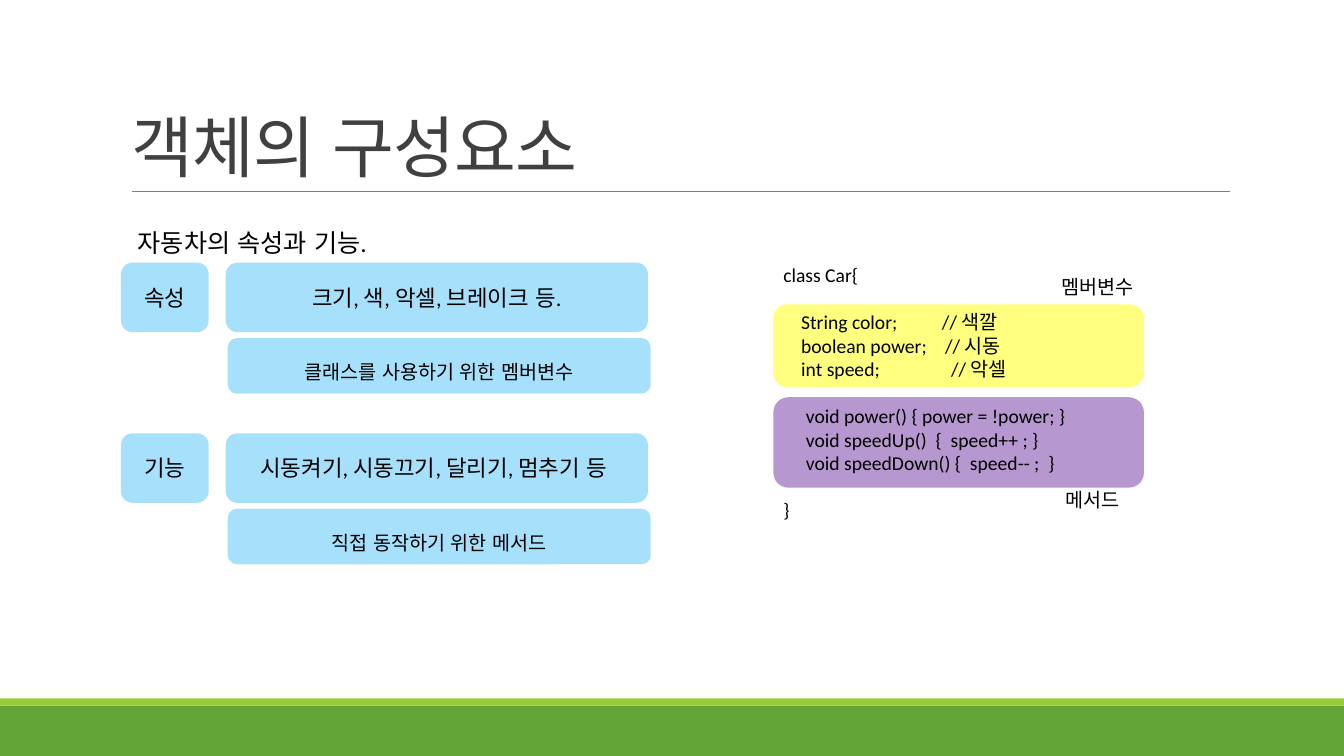
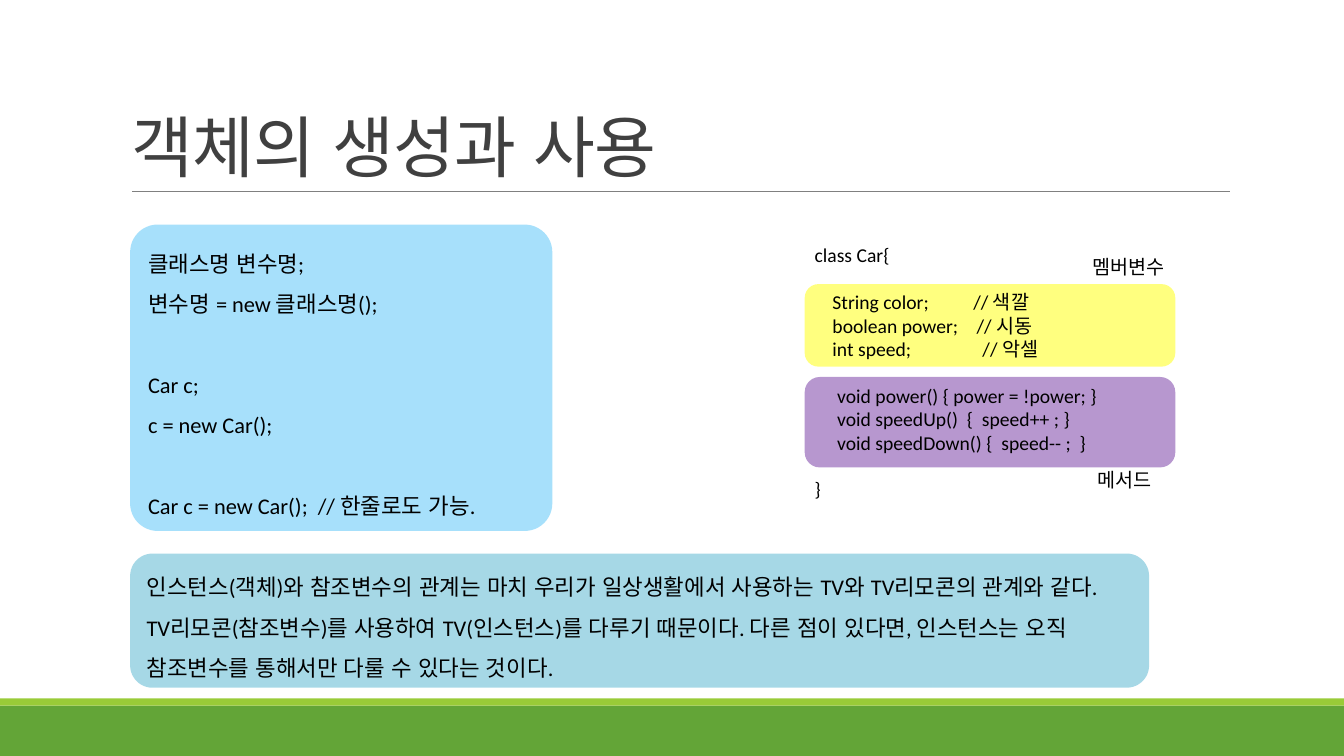
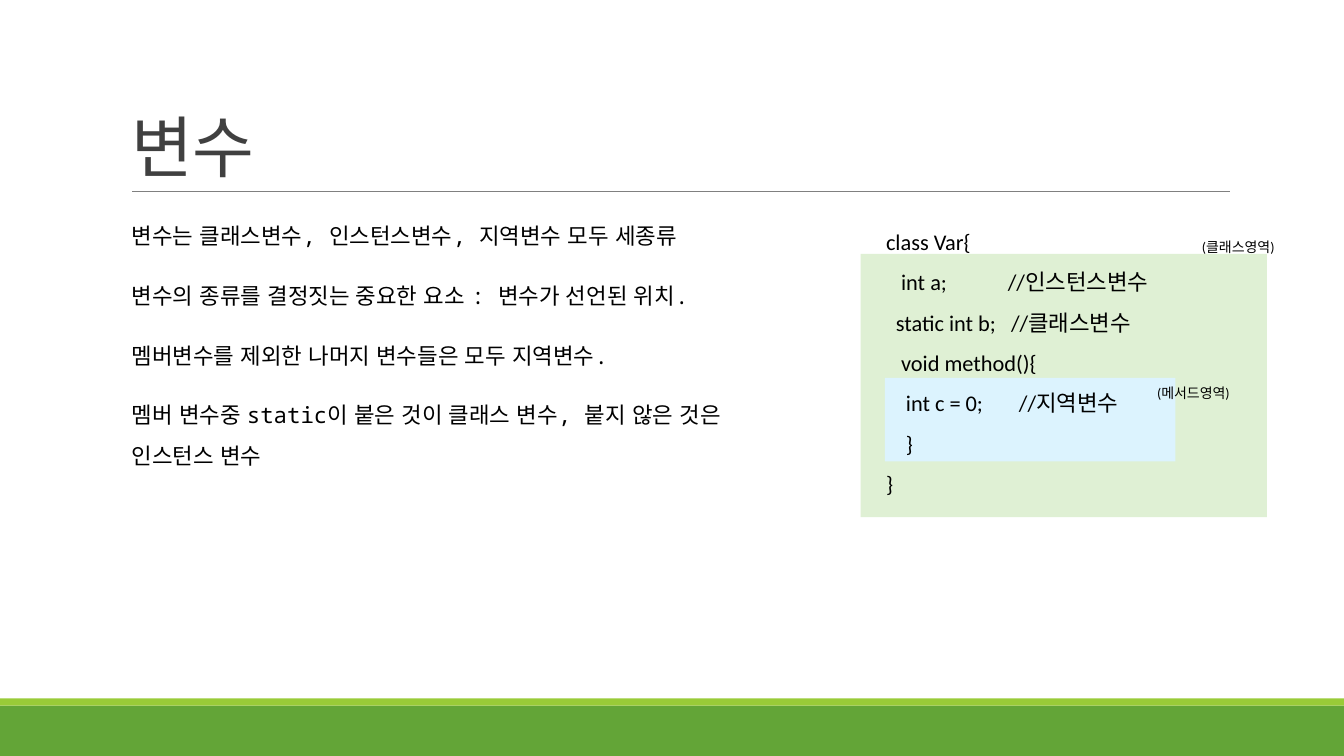
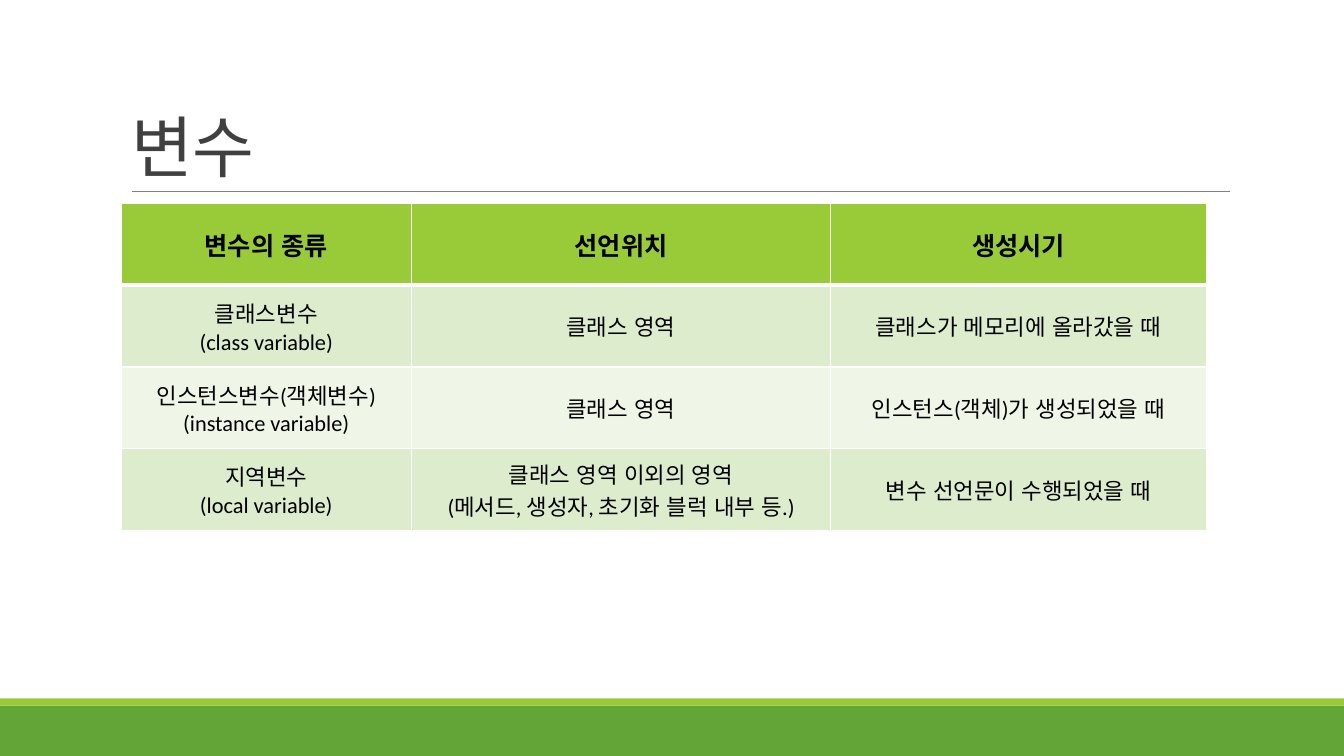
from dataclasses import dataclass, replace

from lxml.etree import SubElement
from pptx import Presentation
from pptx.dml.color import RGBColor
from pptx.enum.shapes import MSO_CONNECTOR, MSO_SHAPE
from pptx.enum.text import MSO_ANCHOR, MSO_AUTO_SIZE, PP_ALIGN
from pptx.oxml.ns import qn
from pptx.util import Cm, Pt

SLIDE_WIDTH, SLIDE_HEIGHT = 33.87, 19.05
TITLE_ONLY = 5
HANGUL_FONT = "맑은 고딕"

BLACK, WHITE, TITLE_GRAY, RULE_GRAY = "000000", "FFFFFF", "404040", "808080"
GREEN, LIME = "63A537", "99CB38"
SKY, TEAL, YELLOW, PURPLE = "51C3F9", "4EB3CF", "FFFF00", "7030A0"
CLASS_AREA, METHOD_AREA = "DFF0D4", "DCF3FE"
ROW_FILLS = ("DEECCE", "EFF6E8")


@dataclass(frozen=True)
class Area:
    """A rectangle in centimetres."""
    left: float
    top: float
    width: float
    height: float

    def lengths(self) -> tuple:
        return Cm(self.left), Cm(self.top), Cm(self.width), Cm(self.height)


@dataclass(frozen=True)
class Style:
    size: float
    font: str = "Calibri"
    color: str = BLACK
    bold: bool = False
    align: PP_ALIGN = PP_ALIGN.LEFT
    spacing: float = 1.0
    before: float = 0
    after: float = 0


@dataclass(frozen=True)
class Line:
    """One paragraph; gap is extra space above in points, tabs are stops in cm."""
    text: str
    gap: float = 0
    tabs: tuple = ()


@dataclass(frozen=True)
class Feature:
    name: str
    examples: str
    meaning: str
    top: float


TITLE = Style(48, color=TITLE_GRAY, spacing=0.85)
INTRO = Style(18)
CODE = Style(14)
NOTE = Style(10)
SPACED = Style(16, spacing=1.5)
CENTERED = Style(16, align=PP_ALIGN.CENTER)
MEANING = Style(14, align=PP_ALIGN.CENTER, spacing=1.5)
BODY = Style(16, font="Noto Sans Mono", spacing=1.5, before=12, after=2)
HEADER = replace(CENTERED, size=18, bold=True)

FEATURES = (
    Feature("속성", "크기, 색, 악셀, 브레이크 등.", "클래스를 사용하기 위한 멤버변수", 6.62),
    Feature("기능", "시동켜기, 시동끄기, 달리기, 멈추기 등 ", "직접 동작하기 위한 메서드", 10.92),
)

CAR_CODE = (
    Line("class Car{"),
    Line("\tString color;\t// 색깔", 17, (0.45, 4.0)),
    Line("\tboolean power;\t// 시동", 0, (0.45, 4.08)),
    Line("\tint speed;\t// 악셀", 0, (0.45, 4.23)),
    Line("\tvoid power() { power = !power; }", 16.5, (0.57,)),
    Line("\tvoid speedUp()  {  speed++ ; }", 0, (0.57,)),
    Line("\tvoid speedDown() {  speed-- ;  }", 0, (0.57,)),
    Line("}", 16.5),
)

CREATION_CODE = (
    Line("클래스명 변수명;"),
    Line("변수명 = new 클래스명();"),
    Line("Car c;", 29),
    Line("c = new Car();"),
    Line("Car c = new Car();  // 한줄로도 가능.", 29),
)

REMOTE_ANALOGY = (
    "인스턴스(객체)와 참조변수의 관계는 마치 우리가 일상생활에서 사용하는 TV와 TV리모콘의 관계와 같다. "
    "TV리모콘(참조변수)를 사용하여 TV(인스턴스)를 다루기 때문이다. "
    "다른 점이 있다면, 인스턴스는 오직 참조변수를 통해서만 다룰 수 있다는 것이다."
)

VARIABLE_FACTS = (
    Line("변수는 클래스변수, 인스턴스변수, 지역변수 모두 세종류"),
    Line("변수의 종류를 결정짓는 중요한 요소 : 변수가 선언된 위치."),
    Line("멤버변수를 제외한 나머지 변수들은 모두 지역변수."),
    Line("멤버 변수중 static이 붙은 것이 클래스 변수, 붙지 않은 것은 인스턴스 변수"),
)

VARIABLE_CODE = (
    Line("class Var{"),
    Line("\tint a;\t//인스턴스변수", 0, (0.38, 3.07)),
    Line("\tstatic int b;\t//클래스변수", 0, (0.25, 3.15)),
    Line("\tvoid method(){", 0, (0.38,)),
    Line("\tint c = 0;\t//지역변수", 0, (0.5, 3.35)),
    Line("\t}", 0, (0.5,)),
    Line("}"),
)

VARIABLE_TABLE = (
    ("변수의 종류", "선언위치", "생성시기"),
    ("클래스변수\n(class variable)", "클래스 영역", "클래스가 메모리에 올라갔을 때"),
    ("인스턴스변수(객체변수)\n(instance variable)", "클래스 영역", "인스턴스(객체)가 생성되었을 때"),
    ("지역변수\n(local variable)", "클래스 영역 이외의 영역\n(메서드, 생성자, 초기화 블럭 내부 등.)",
     "변수 선언문이 수행되었을 때"),
)
COLUMN_WIDTHS = (7.32, 10.56, 9.47)
ROW_HEIGHT = 2.06


def rgb(color: str) -> RGBColor:
    return RGBColor.from_string(color)


def paint(fill, color: str, alpha: int = 100) -> None:
    """Fill with a solid colour; alpha is the opacity in percent."""
    fill.solid()
    fill.fore_color.rgb = rgb(color)
    if alpha < 100:
        for node in fill._xPr.iter(qn("a:srgbClr")):
            SubElement(node, qn("a:alpha"), val=str(alpha * 1000))


def format_span(span, style: Style) -> None:
    span.font.size = Pt(style.size)
    span.font.name = style.font
    span.font.bold = style.bold
    span.font.color.rgb = rgb(style.color)
    properties = span.font._element
    properties.set("lang", "ko-KR")
    SubElement(properties, qn("a:ea"), typeface=HANGUL_FONT)


def format_paragraph(para, style: Style, line: Line) -> None:
    para.text = line.text
    para.alignment = style.align
    para.line_spacing = style.spacing
    para.space_before = Pt(style.before + line.gap)
    para.space_after = Pt(style.after)
    if line.tabs:
        stops = SubElement(para._p.get_or_add_pPr(), qn("a:tabLst"))
        for stop in line.tabs:
            SubElement(stops, qn("a:tab"), pos=str(int(Cm(stop))), algn="l")
    for span in para.runs:
        format_span(span, style)


def write(frame, lines: tuple, style: Style) -> None:
    for index, line in enumerate(lines):
        para = frame.add_paragraph() if index else frame.paragraphs[0]
        format_paragraph(para, style, line)


def as_lines(text: str) -> tuple:
    return tuple(Line(part) for part in text.split("\n"))


def add_block(page, area: Area, color: str, alpha: int = 100,
              preset: MSO_SHAPE = MSO_SHAPE.RECTANGLE):
    block = page.shapes.add_shape(preset, *area.lengths())
    block.shadow.inherit = False
    block.line.fill.background()
    paint(block.fill, color, alpha)
    return block


def add_card(page, area: Area, color: str, lines: tuple = (), style: Style = CENTERED):
    """Add a half-transparent rounded box, with text if there is any."""
    card = add_block(page, area, color, 50, MSO_SHAPE.ROUNDED_RECTANGLE)
    card.text_frame.word_wrap = True
    card.text_frame.vertical_anchor = MSO_ANCHOR.MIDDLE
    write(card.text_frame, lines, style)
    return card


def add_text(page, area: Area, lines: tuple, style: Style, wrap: bool = True):
    box = page.shapes.add_textbox(*area.lengths())
    frame = box.text_frame
    frame.word_wrap = wrap
    frame.auto_size = MSO_AUTO_SIZE.SHAPE_TO_FIT_TEXT
    write(frame, lines, style)
    return box


def add_label(page, area: Area, text: str, style: Style) -> None:
    add_text(page, area, as_lines(text), style, wrap=False)


def decorate_layout(page) -> None:
    """Draw the bands and the title rule, then hand them to the page's layout."""
    bands = (
        add_block(page, Area(0, 17.78, SLIDE_WIDTH, 1.27), GREEN),
        add_block(page, Area(0, 17.6, SLIDE_WIDTH, 0.18), LIME),
    )
    rule = page.shapes.add_connector(
        MSO_CONNECTOR.STRAIGHT, Cm(3.33), Cm(4.83), Cm(31), Cm(4.83))
    rule.line.color.rgb = rgb(RULE_GRAY)
    rule.line.width = Pt(0.5)
    SubElement(rule.element.spPr, qn("a:effectLst"))
    for shape in (*bands, rule):
        page.slide_layout.shapes.element.append(shape.element)


def add_page(deck, title: str):
    page = deck.slides.add_slide(deck.slide_layouts[TITLE_ONLY])
    holder = page.shapes.title
    holder.left, holder.top, holder.width, holder.height = Area(3.05, 0.79, 27.94, 4.04).lengths()
    frame = holder.text_frame
    frame.auto_size = MSO_AUTO_SIZE.NONE
    frame.vertical_anchor = MSO_ANCHOR.BOTTOM
    write(frame, as_lines(title), TITLE)
    for span in frame.paragraphs[0].runs:
        span.font._element.set("spc", "-50")
    return page


def add_car_class(page, left: float, top: float) -> None:
    add_card(page, Area(left, top + 3.51, 9.34, 2.28), PURPLE)
    add_card(page, Area(left, top + 1.17, 9.34, 2.08), YELLOW)
    add_text(page, Area(left, top, 8.03, 6.83), CAR_CODE, CODE)
    add_label(page, Area(left + 7.01, top + 0.31, 2.51, 0.86), "멤버변수", CODE)
    add_label(page, Area(left + 7.12, top + 5.67, 2.01, 0.86), "메서드", CODE)


def add_components_page(deck):
    page = add_page(deck, "객체의 구성요소")
    add_label(page, Area(3.22, 5.6, 6.73, 1.02), "자동차의 속성과 기능.", INTRO)
    for feature in FEATURES:
        add_card(page, Area(3.05, feature.top, 2.21, 1.75), SKY, as_lines(feature.name))
        add_card(page, Area(5.69, feature.top, 10.64, 1.75), SKY, as_lines(feature.examples))
        add_card(page, Area(5.74, feature.top + 1.9, 10.66, 1.4), SKY,
                 as_lines(feature.meaning), MEANING)
    add_car_class(page, 19.49, 6.5)
    return page


def add_creation_page(deck) -> None:
    page = add_page(deck, "객체의 생성과 사용")
    card = add_card(page, Area(3.28, 5.66, 10.64, 7.72), SKY, CREATION_CODE, SPACED)
    card.adjustments[0] = 0.09
    add_car_class(page, 20.28, 5.99)
    analogy = add_card(page, Area(3.28, 13.95, 25.68, 3.38), TEAL,
                       as_lines(REMOTE_ANALOGY), SPACED)
    analogy.text_frame.margin_right = Cm(0.8)


def add_variables_page(deck) -> None:
    page = add_page(deck, "변수")
    add_block(page, Area(21.69, 6.4, 10.24, 6.63), CLASS_AREA)
    add_block(page, Area(22.3, 9.52, 7.32, 2.11), METHOD_AREA)
    facts = add_text(page, Area(3.32, 5.13, 16.62, 11.18), VARIABLE_FACTS, BODY)
    facts.text_frame.margin_left = facts.text_frame.margin_right = 0
    add_label(page, Area(30.04, 5.89, 2.62, 0.71), "(클래스영역)", NOTE)
    add_text(page, Area(22.08, 5.29, 8.74, 7.44), VARIABLE_CODE, SPACED)
    add_label(page, Area(28.91, 9.57, 2.51, 0.69), "(메서드영역)", NOTE)


def underline_cell(cell, color: str, width: float) -> None:
    properties = cell._tc.get_or_add_tcPr()
    border = SubElement(properties, qn("a:lnB"), w=str(int(Pt(width))))
    SubElement(SubElement(border, qn("a:solidFill")), qn("a:srgbClr"), val=color)
    properties.insert(0, border)


def add_variable_table_page(deck) -> None:
    page = add_page(deck, "변수")
    area = Area(3.05, 5.13, sum(COLUMN_WIDTHS), ROW_HEIGHT * len(VARIABLE_TABLE))
    table = page.shapes.add_table(
        len(VARIABLE_TABLE), len(COLUMN_WIDTHS), *area.lengths()).table
    for column, width in zip(table.columns, COLUMN_WIDTHS):
        column.width = Cm(width)
    for row_index, texts in enumerate(VARIABLE_TABLE):
        table.rows[row_index].height = Cm(ROW_HEIGHT)
        color = ROW_FILLS[(row_index - 1) % 2] if row_index else LIME
        for column_index, text in enumerate(texts):
            cell = table.cell(row_index, column_index)
            paint(cell.fill, color)
            cell.vertical_anchor = MSO_ANCHOR.MIDDLE
            write(cell.text_frame, as_lines(text), CENTERED if row_index else HEADER)
            if row_index == 0:
                underline_cell(cell, WHITE, 3)


def main() -> None:
    deck = Presentation()
    deck.slide_width, deck.slide_height = Cm(SLIDE_WIDTH), Cm(SLIDE_HEIGHT)
    decorate_layout(add_components_page(deck))
    add_creation_page(deck)
    add_variables_page(deck)
    add_variable_table_page(deck)
    deck.save("out.pptx")


if __name__ == "__main__":
    main()
